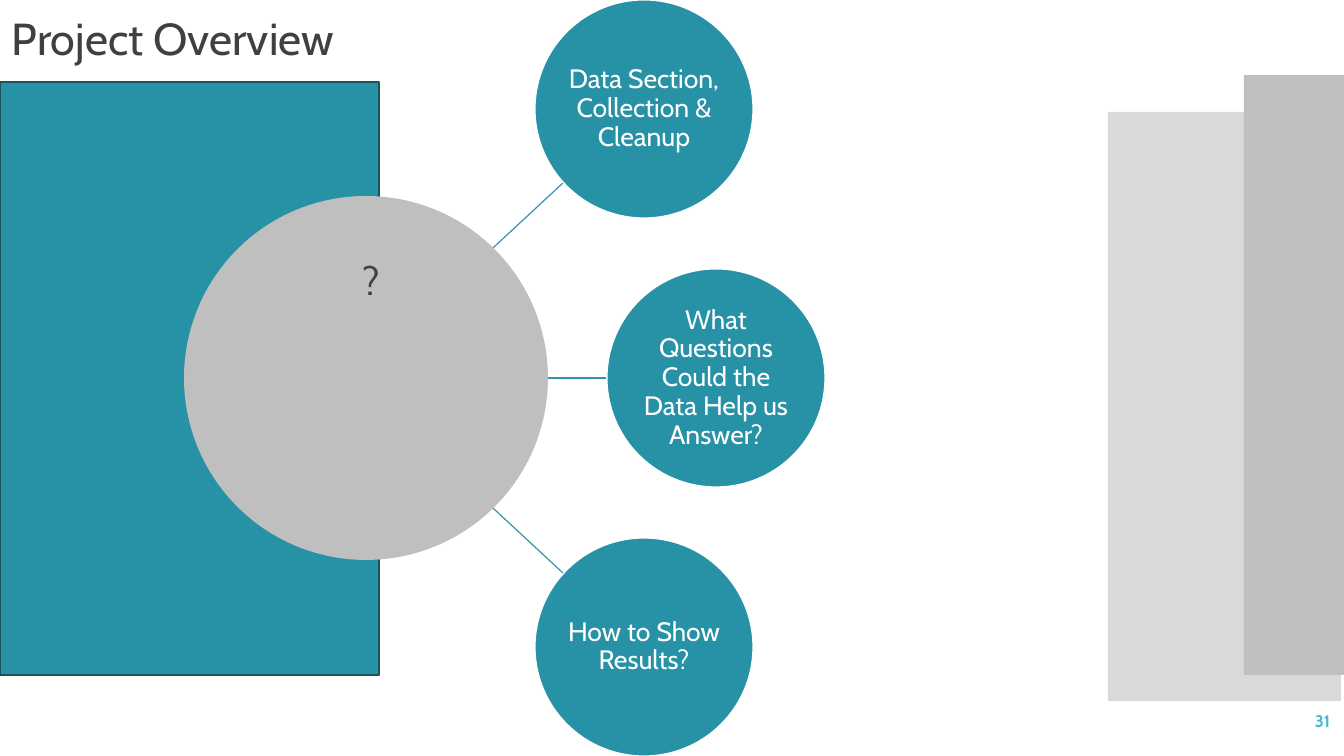
from dataclasses import dataclass
from lxml.etree import SubElement
from pptx import Presentation
from pptx.dml.color import RGBColor
from pptx.enum.shapes import MSO_CONNECTOR, MSO_SHAPE
from pptx.enum.text import MSO_ANCHOR, PP_ALIGN
from pptx.oxml.ns import qn
from pptx.util import Emu, Pt


@dataclass(frozen=True)
class Theme:
    font: str = "Cabin"
    teal: str = "2791A6"
    edge: str = "1C525C"
    spoke: str = "3395A8"
    accent: str = "40BAD2"
    pale: str = "D9D9D9"
    gray: str = "BFBFBF"
    white: str = "FFFFFF"
    ink: str = "404040"
    title: int = 32
    mark: int = 28
    node: int = 19
    page: int = 12
    line: float = 0.85


def px(n):
    """Turn pixels, 100.8 to the inch, into EMU."""
    return Emu(round(n * 914400 / 100.8))


class Deck:
    def __init__(self, theme):
        self.theme = theme
        self.file = Presentation()
        self.file.slide_width, self.file.slide_height = px(1344), px(756)
        self.slide = self.file.slides.add_slide(self.file.slide_layouts[6])

    def shape(self, kind, box, fill, line=None):
        item = self.slide.shapes.add_shape(kind, *map(px, box))
        item.shadow.inherit = False
        item.fill.solid()
        item.fill.fore_color.rgb = RGBColor.from_string(fill)
        if line:
            item.line.color.rgb = RGBColor.from_string(line)
            item.line.width = Pt(self.theme.line)
        else:
            item.line.fill.background()
        return item

    def words(self, frame, text, size, color, align, bold=False):
        frame.word_wrap = True
        para = frame.paragraphs[0]
        para.text = text
        para.alignment = align
        font = para.font
        font.name, font.size, font.bold = self.theme.font, Pt(size), bold
        font.color.rgb = RGBColor.from_string(color)
        return para

    def label(self, box, text, size, color, align, bold=False, anchor=MSO_ANCHOR.TOP):
        frame = self.slide.shapes.add_textbox(*map(px, box)).text_frame
        frame.vertical_anchor = anchor
        self.words(frame, text, size, color, align, bold)

    def node(self, box, text):
        """Draw a round topic with its text inside."""
        look = self.theme
        frame = self.shape(MSO_SHAPE.OVAL, box, look.teal, look.white).text_frame
        frame.margin_left = frame.margin_right = px(1)
        frame.margin_top = frame.margin_bottom = px(1)
        frame.vertical_anchor = MSO_ANCHOR.MIDDLE
        para = self.words(frame, text, look.node, look.white, PP_ALIGN.CENTER)
        para.line_spacing = 0.9

    def spoke(self, *ends):
        line = self.slide.shapes.add_connector(MSO_CONNECTOR.STRAIGHT, *map(px, ends))
        line.line.color.rgb = RGBColor.from_string(self.theme.spoke)
        line.line.width = Pt(self.theme.line)
        SubElement(line._element.spPr, qn("a:effectLst"))


def main():
    look = Theme()
    deck = Deck(look)
    rect, oval = MSO_SHAPE.RECTANGLE, MSO_SHAPE.OVAL

    deck.shape(rect, (0, 84, 380, 588), look.accent)
    deck.shape(rect, (1108, 112, 233, 589), look.pale)
    deck.shape(rect, (0, 82, 379, 593), look.teal, look.edge)

    middle, start, size, step = 378, 480, 218, 269
    # side, left of the node, end of its spoke, text
    topics = [
        (-1, 535, 563, "Data Section, Collection & Cleanup"),
        (0, 607, 606, "What Questions Could the Data Help us Answer?"),
        (1, 535, 563, "How to Show Results?"),
    ]
    for side, _, end, _ in topics:
        deck.spoke(start, middle + side * 118, end, middle + side * 195)
    deck.shape(oval, (184, 196, 364, 364), look.gray)
    for side, left, _, text in topics:
        top = middle + side * step - size // 2
        deck.node((left, top, size, size), text)

    deck.shape(rect, (1244, 75, 100, 600), look.gray)
    deck.label((229, 251, 284, 57), "?", look.mark, look.ink, PP_ALIGN.CENTER)
    deck.label((2, 6, 513, 65), "Project Overview", look.title, look.ink, PP_ALIGN.LEFT)
    deck.label((1172, 701, 168, 40), "31", look.page, look.accent, PP_ALIGN.RIGHT,
               bold=True, anchor=MSO_ANCHOR.MIDDLE)
    deck.file.save("out.pptx")


if __name__ == "__main__":
    main()
